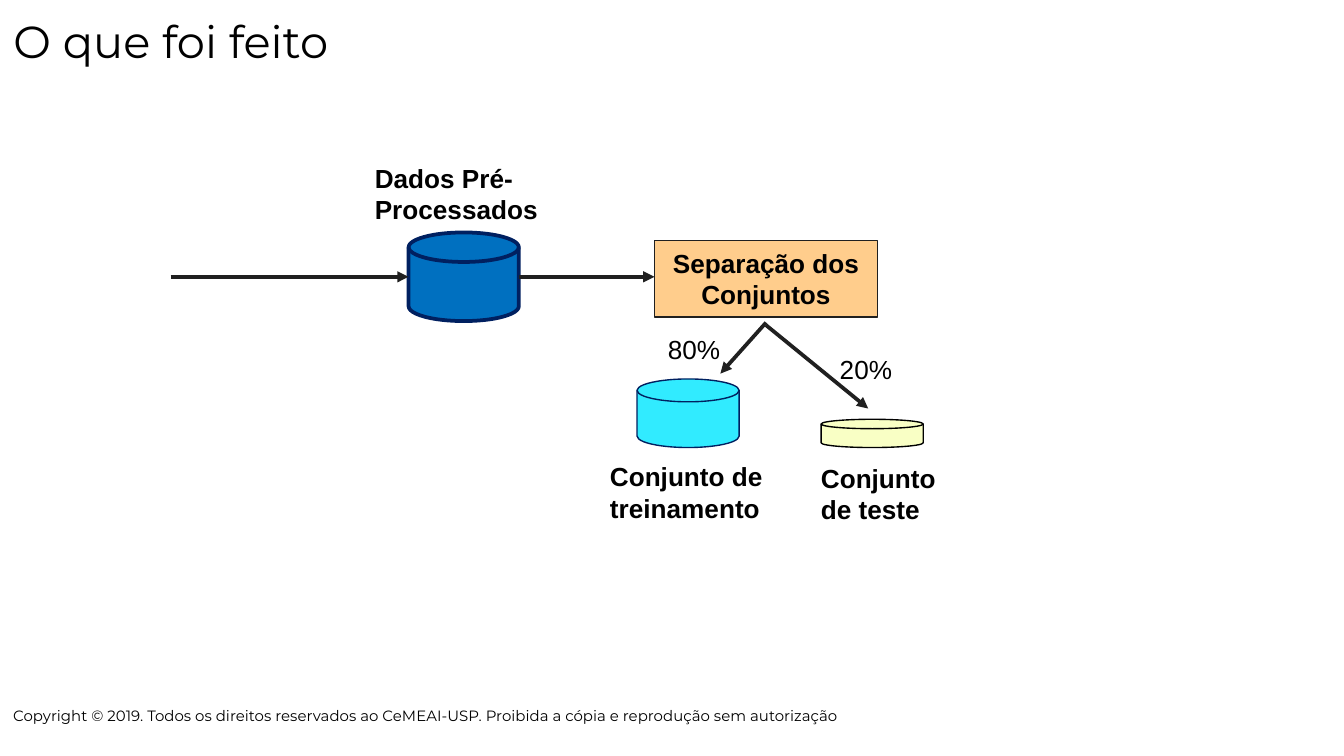
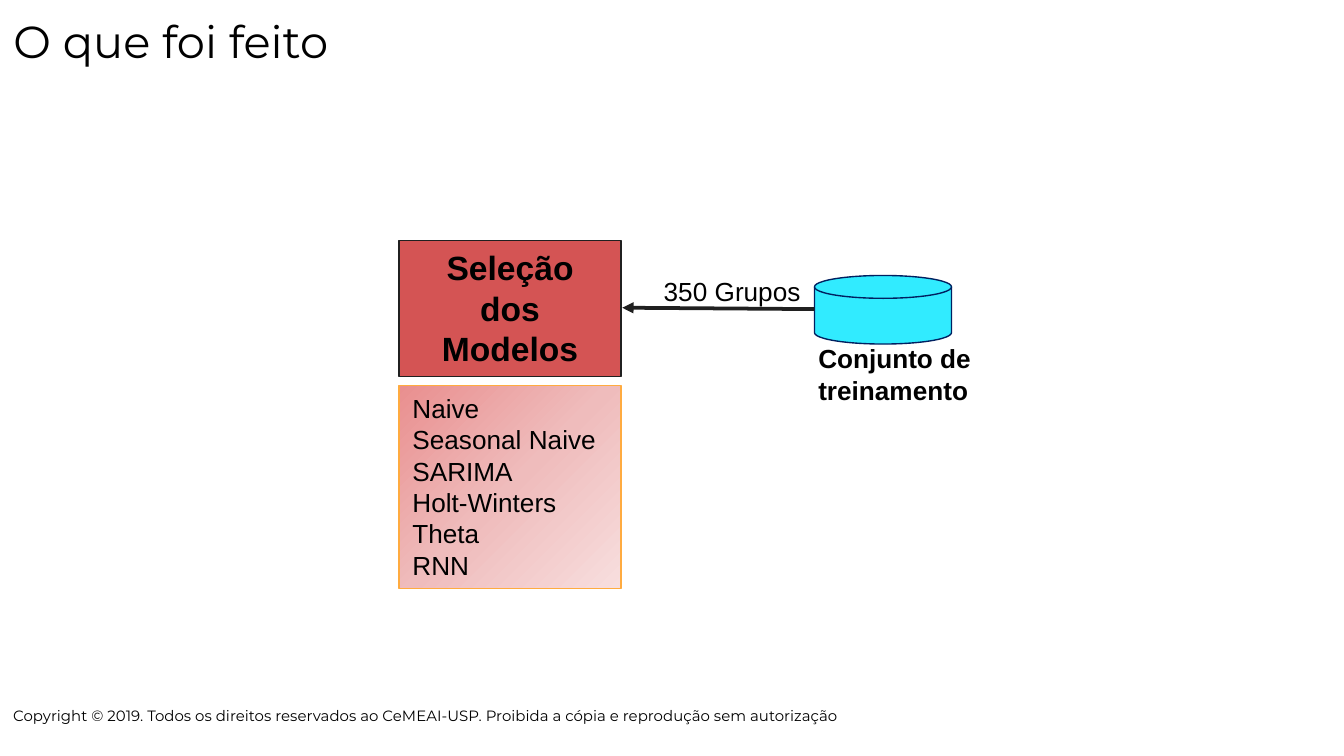
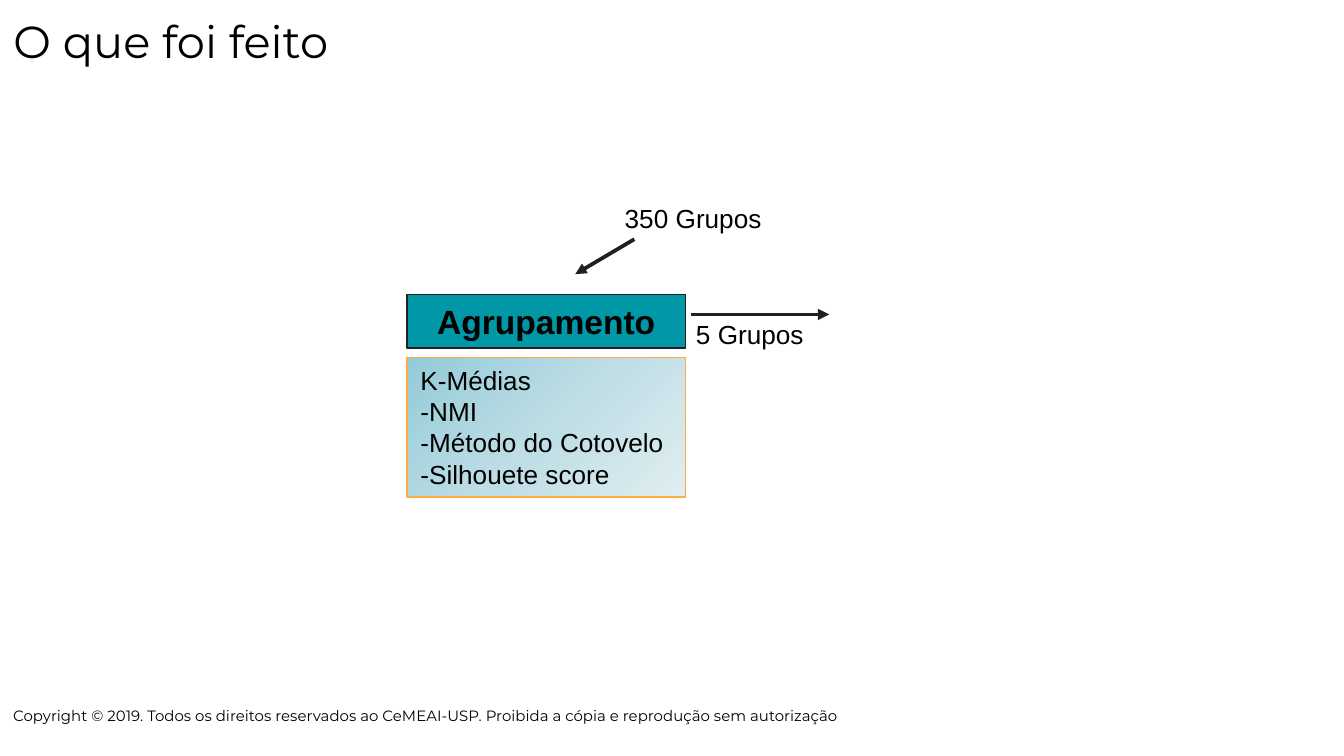
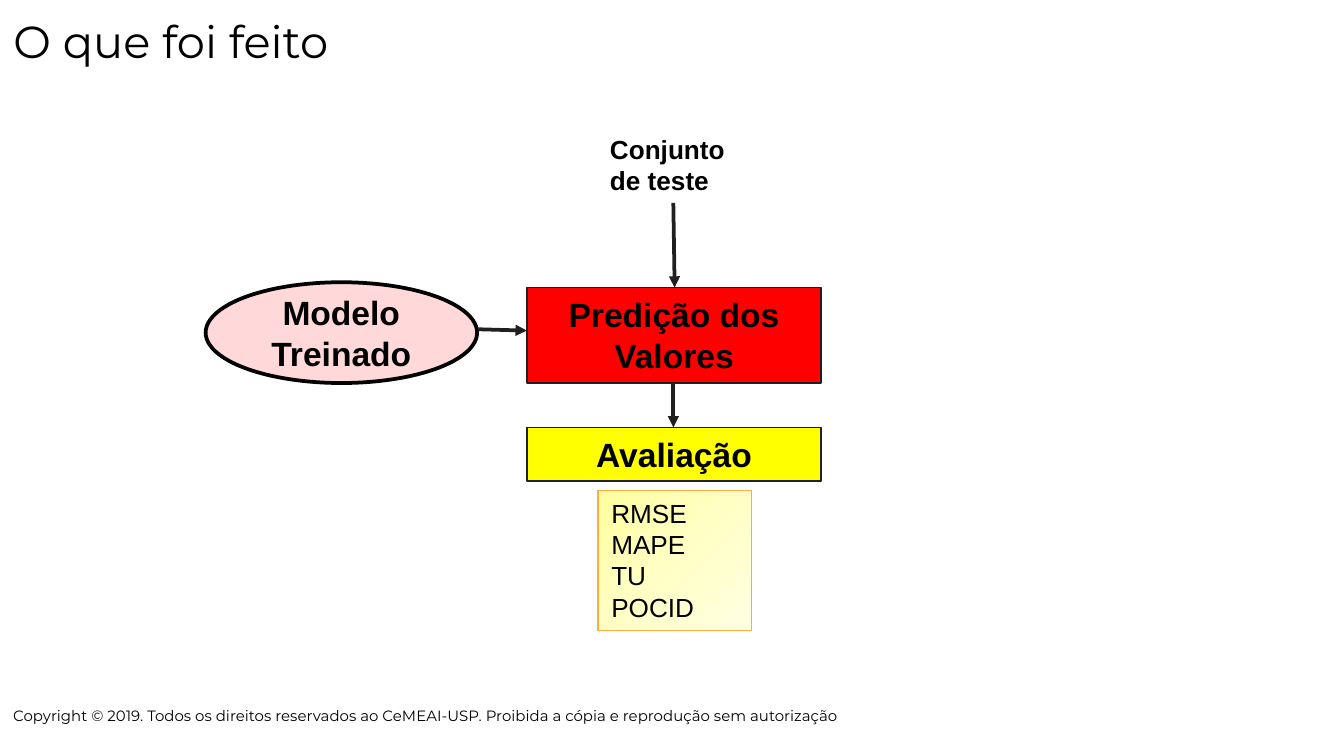
from copy import deepcopy

from lxml import etree
from pptx import Presentation
from pptx.dml.color import RGBColor
from pptx.enum.shapes import MSO_CONNECTOR, MSO_SHAPE
from pptx.enum.text import MSO_ANCHOR, MSO_AUTO_SIZE, PP_ALIGN
from pptx.oxml.ns import qn
from pptx.util import Inches, Pt

RECTANGLE = MSO_SHAPE.RECTANGLE
CYLINDER = MSO_SHAPE.FLOWCHART_MAGNETIC_DISK
ELLIPSE = MSO_SHAPE.FLOWCHART_CONNECTOR
STRAIGHT = MSO_CONNECTOR.STRAIGHT
TOP, MIDDLE, BOTTOM = MSO_ANCHOR.TOP, MSO_ANCHOR.MIDDLE, MSO_ANCHOR.BOTTOM
LEFT, CENTER = PP_ALIGN.LEFT, PP_ALIGN.CENTER
FIT_SHAPE, NO_FIT = MSO_AUTO_SIZE.SHAPE_TO_FIT_TEXT, MSO_AUTO_SIZE.NONE

BLACK = RGBColor(0x00, 0x00, 0x00)
CHARCOAL = RGBColor(0x20, 0x20, 0x20)
NAVY = RGBColor(0x00, 0x20, 0x60)
BLUE = RGBColor(0x00, 0x70, 0xC0)
CYAN = RGBColor(0x31, 0xEB, 0xFF)
TEAL = RGBColor(0x00, 0x97, 0xA7)
LIME = RGBColor(0xEE, 0xFF, 0x41)
PEACH = RGBColor(0xFF, 0xCD, 0x8C)
ORANGE = RGBColor(0xFF, 0xAB, 0x40)
DARK_RED = RGBColor(0xC0, 0x00, 0x00)
RED = RGBColor(0xFF, 0x00, 0x00)
YELLOW = RGBColor(0xFF, 0xFF, 0x00)
PINK_GRADIENT = [RGBColor(0xE9, 0x8F, 0x8F), RGBColor(0xEF, 0xBC, 0xBC), RGBColor(0xF7, 0xDE, 0xDE)]
AQUA_GRADIENT = [RGBColor(0x93, 0xCB, 0xD8), RGBColor(0xBE, 0xDD, 0xE5), RGBColor(0xE0, 0xEE, 0xF1)]
CREAM_GRADIENT = [RGBColor(0xFF, 0xFF, 0xA0), RGBColor(0xFF, 0xFF, 0xC5), RGBColor(0xFF, 0xFF, 0xE3)]

TITLE = "O que foi feito"
COPYRIGHT = (
    "Copyright © 2019. Todos os direitos reservados ao CeMEAI-USP. "
    "Proibida a cópia e reprodução sem autorização"
)

presentation = Presentation()
presentation.slide_width = Inches(10)
presentation.slide_height = presentation.slide_width * 9 // 16
CELL = presentation.slide_width / 100


def add_box(slide, kind, frame, text="", fill=None, opacity=100, line=None, weight=0.75,
            size=14, bold=False, align=LEFT, anchor=TOP, font="Arial"):
    frame = [round(cells * CELL) for cells in frame]
    if kind is None:
        shape = slide.shapes.add_textbox(*frame)
    else:
        shape = slide.shapes.add_shape(kind, *frame)
        shape.shadow.inherit = False
        shape.line.color.rgb = line
        shape.line.width = Pt(weight)
    if isinstance(fill, list):
        shape.fill.gradient()
        shape.fill.gradient_angle = 315
        stop_list = shape.element.spPr.find(".//" + qn("a:gsLst"))
        stop_list.insert(1, deepcopy(stop_list[0]))
        for index, stop in enumerate(shape.fill.gradient_stops):
            stop.color.rgb = fill[index]
            stop.position = index / 2
    elif fill is not None:
        shape.fill.solid()
        shape.fill.fore_color.rgb = fill
        if opacity < 100:
            color = shape.element.spPr.find(qn("a:solidFill"))[0]
            etree.SubElement(color, qn("a:alpha"), val=str(opacity * 1000))
    if text:
        text_frame = shape.text_frame
        text_frame.text = text
        text_frame.word_wrap = True
        text_frame.auto_size = FIT_SHAPE if anchor == TOP else NO_FIT
        text_frame.vertical_anchor = anchor
        for paragraph in text_frame.paragraphs:
            paragraph.alignment = align
            for run in paragraph.runs:
                run.font.name = font
                run.font.size = Pt(size)
                run.font.bold = bold
                run.font.color.rgb = BLACK
    return shape


def add_arrow(slide, *ends):
    arrow = slide.shapes.add_connector(STRAIGHT, *[round(cells * CELL) for cells in ends])
    arrow.line.color.rgb = CHARCOAL
    arrow.line.width = Pt(2)
    properties = arrow.element.spPr
    etree.SubElement(properties.find(qn("a:ln")), qn("a:tailEnd"), type="triangle")
    etree.SubElement(properties, qn("a:effectLst"))


layout = presentation.slide_layouts[5]
slides = []
for number in range(4):
    slide = presentation.slides.add_slide(layout)
    slides.append(slide)
    title = slide.shapes.title
    title.left, title.top = 0, 0
    title.width, title.height = round(93.2 * CELL), round(6.3 * CELL)
    text_frame = title.text_frame
    text_frame.text = TITLE
    text_frame.vertical_anchor = TOP
    text_frame.auto_size = NO_FIT
    text_frame.margin_top = text_frame.margin_bottom = Inches(0.1)
    paragraph = text_frame.paragraphs[0]
    paragraph.alignment = LEFT
    font = paragraph.runs[0].font
    font.name, font.size = "Montserrat", Pt(24)
    font.color.rgb = BLACK

separation, selection, grouping, evaluation = slides

footer = add_box(separation, None, (0, 51.3, 69.7, 3.6), COPYRIGHT, size=8,
                 anchor=BOTTOM, font="Montserrat")
footer.text_frame.margin_top = footer.text_frame.margin_bottom = Inches(0.1)
layout.shapes.element.append(footer.element)

add_box(separation, CYLINDER, (30.4, 17.3, 8.2, 6.6), fill=BLUE, line=NAVY, weight=2)
add_box(separation, None, (26.9, 11.6, 14.2, 5.7), "Dados Pré-Processados", bold=True)
add_arrow(separation, 12.7, 20.6, 30.4, 20.6)
add_box(separation, RECTANGLE, (48.7, 17.9, 16.6, 5.7), "Separação dos Conjuntos",
        fill=PEACH, line=CHARCOAL, bold=True, align=CENTER)
add_arrow(separation, 38.6, 20.6, 48.7, 20.6)
add_box(separation, CYLINDER, (47.4, 28.2, 7.6, 5.1), fill=CYAN, line=NAVY)
add_box(separation, CYLINDER, (61.1, 31.2, 7.6, 2.1), fill=LIME, opacity=30, line=BLACK)
add_box(separation, None, (44.4, 33.8, 13.6, 5.7), "Conjunto de treinamento", bold=True)
add_box(separation, None, (60.1, 33.9, 11.4, 5.7), "Conjunto de teste", bold=True)
add_arrow(separation, 57, 24.2, 64.6, 30.4)
add_arrow(separation, 57, 24, 53.6, 27.8)
add_box(separation, None, (48.7, 24.3, 6.9, 3.4), "80%")
add_box(separation, None, (61.5, 25.8, 6, 3.4), "20%")

add_box(selection, RECTANGLE, (29.7, 28.7, 16.5, 15.1),
        "Naive\nSeasonal Naive\nSARIMA\nHolt-Winters\nTheta\nRNN",
        fill=PINK_GRADIENT, line=ORANGE)
add_box(selection, CYLINDER, (60.6, 20.5, 10.2, 5.1), fill=CYAN, line=NAVY)
add_box(selection, None, (59.9, 25, 15.4, 5.7), "Conjunto de treinamento", bold=True)
add_arrow(selection, 60.6, 23, 46.3, 22.9)
add_box(selection, RECTANGLE, (29.7, 17.9, 16.5, 10.1), "Seleção dos Modelos",
        fill=DARK_RED, opacity=67, line=CHARCOAL, size=18, bold=True, align=CENTER)
add_box(selection, None, (48.4, 20, 13, 3.4), "350 Grupos")

add_box(grouping, RECTANGLE, (30.3, 26.6, 20.7, 10.4),
        "K-Médias\n-NMI\n-Método do Cotovelo\n-Silhouete score",
        fill=AQUA_GRADIENT, line=ORANGE)
add_box(grouping, RECTANGLE, (30.3, 21.9, 20.7, 4), "Agrupamento",
        fill=TEAL, line=CHARCOAL, size=18, bold=True, align=CENTER)
add_box(grouping, None, (50.8, 23.2, 10.9, 3.4), "5 Grupos")
add_arrow(grouping, 51.4, 23.4, 61.7, 23.4)
add_arrow(grouping, 47.2, 17.8, 42.8, 20.4)
add_box(grouping, None, (45.5, 14.6, 13, 3.4), "350 Grupos")

add_box(evaluation, None, (44.4, 9.4, 11.4, 5.7), "Conjunto de teste", bold=True)
add_box(evaluation, ELLIPSE, (15.3, 21, 20.2, 7.5), "Modelo Treinado", fill=RED, opacity=15,
        line=BLACK, weight=2, size=18, bold=True, align=CENTER, anchor=MIDDLE)
add_box(evaluation, RECTANGLE, (39.2, 21.4, 21.9, 7.1), "Predição dos Valores",
        fill=RED, line=CHARCOAL, size=18, bold=True, align=CENTER)
add_arrow(evaluation, 50.1, 15.1, 50.2, 21.4)
add_arrow(evaluation, 35.6, 24.5, 39.2, 24.6)
add_arrow(evaluation, 50.1, 28.5, 50.1, 31.8)
add_box(evaluation, RECTANGLE, (39.2, 31.8, 21.9, 4), "Avaliação",
        fill=YELLOW, line=CHARCOAL, size=18, bold=True, align=CENTER)
add_box(evaluation, RECTANGLE, (44.5, 36.5, 11.4, 10.4), "RMSE\nMAPE\nTU\nPOCID",
        fill=CREAM_GRADIENT, line=ORANGE)

presentation.save("out.pptx")
